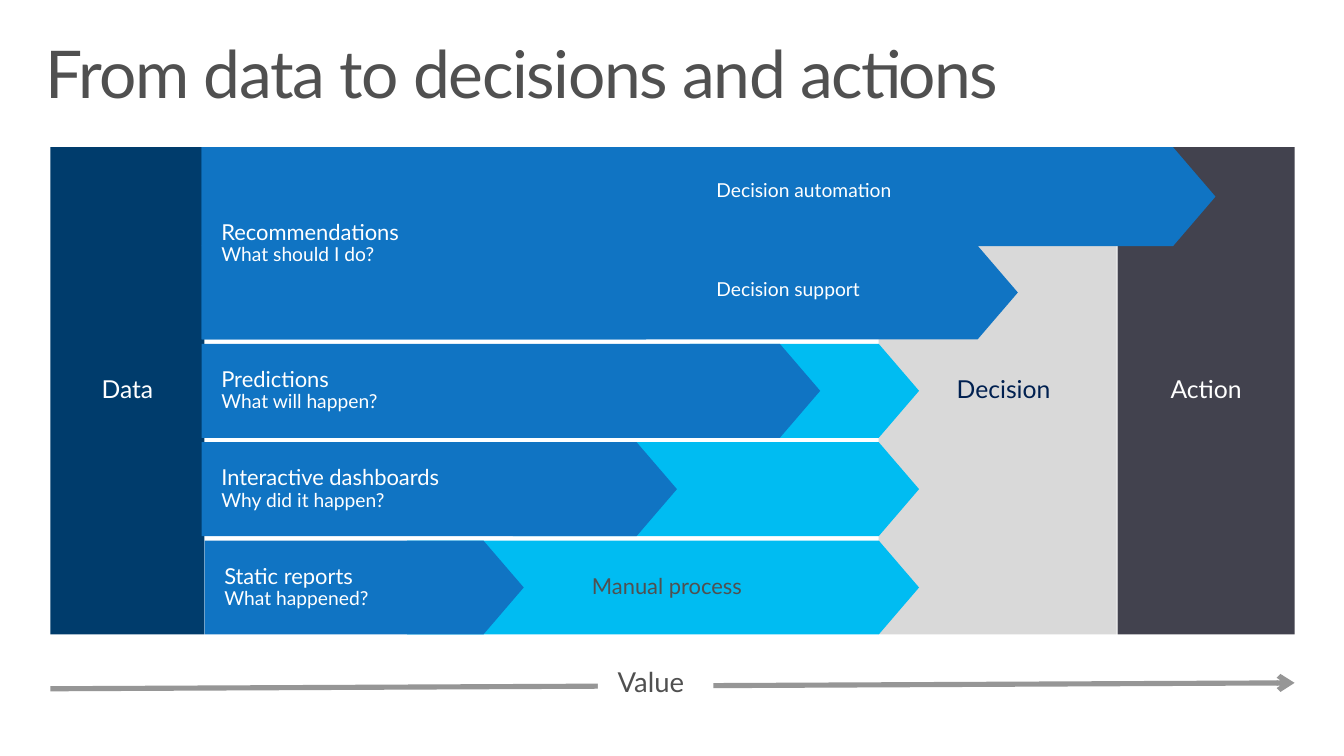
from lxml import etree
from pptx import Presentation
from pptx import util as u
from pptx.dml.color import RGBColor
from pptx.enum import shapes, text
from pptx.oxml.ns import qn

NAVY = RGBColor(0x00, 0x3C, 0x6C)
BLUE = RGBColor(0x10, 0x74, 0xC3)
CYAN = RGBColor(0x00, 0xBC, 0xF2)
CHARCOAL = RGBColor(0x42, 0x42, 0x4E)
SILVER = RGBColor(0xD9, 0xD9, 0xD9)
MIDNIGHT = RGBColor(0x00, 0x20, 0x50)
GRAY = RGBColor(0x50, 0x50, 0x50)
ARROW_GRAY = RGBColor(0x96, 0x96, 0x96)
WHITE = RGBColor(0xFF, 0xFF, 0xFF)
FONT = "Lato"

TITLE = "From data to decisions and actions"
# label, left, width, fill, text colour, left inset
COLUMNS = [
    ("Action", 11.31, 1.79, CHARCOAL, WHITE, 0.2),
    ("Decision", 8.89, 2.41, SILVER, MIDNIGHT, 0.32),
    ("Data", 0.51, 1.56, NAVY, WHITE, 0.2),
]
# row, label, question, left, right tip, left of the manual part
STAGES = [
    (2, "Predictions", "What will happen?", 2.04, 8.3, 6.98),
    (3, "Interactive dashboards", "Why did it happen?", 2.04, 6.85, 5.19),
    (4, "Static reports", "What happened?", 2.07, 5.3, 4.12),
]
# row, label, right tip, height, label width
RECOMMENDED = [
    (1, "Decision support", 10.3, 0.95, 1.9),
    (0, "Decision automation", 12.3, 1, 2.23),
]
TOP, HEIGHT = 1.49, 4.93
ROW_HEIGHT = 0.95
PITCH = (HEIGHT - ROW_HEIGHT) / 4
DATA_EDGE, MANUAL_TIP = 2.04, 9.3
TIP_RATIO = 0.429

deck = Presentation()
deck.slide_width, deck.slide_height = u.Inches(13.6), u.Inches(7.65)
page = deck.slides.add_slide(deck.slide_layouts[5])


def row_top(row):
    return TOP + row * PITCH


def write(box, lines, color=WHITE, align=text.PP_ALIGN.LEFT,
          anchor=text.MSO_ANCHOR.TOP, insets=(0.2, 0.16), left_inset=None,
          after=0, wrap=True, grow=False):
    """Fill a shape with (wording, size) lines, one paragraph each."""
    frame = box.text_frame
    frame.word_wrap = wrap
    frame.auto_size = (text.MSO_AUTO_SIZE.SHAPE_TO_FIT_TEXT if grow
                       else text.MSO_AUTO_SIZE.NONE)
    frame.vertical_anchor = anchor
    side, edge = map(u.Inches, insets)
    frame.margin_left = side if left_inset is None else u.Inches(left_inset)
    frame.margin_right = side
    frame.margin_top = frame.margin_bottom = edge
    for index, (wording, size) in enumerate(lines):
        para = frame.add_paragraph() if index else frame.paragraphs[0]
        para.alignment = align
        para.line_spacing = 0.9
        para.space_before, para.space_after = u.Pt(0), u.Pt(after)
        span = para.add_run()
        span.text = wording
        span.font.name, span.font.size = FONT, u.Pt(size)
        span.font.color.rgb = color
    return box


def add_block(kind, left, top, width, height, fill):
    block = page.shapes.add_shape(kind, *map(u.Inches, (left, top, width, height)))
    block.shadow.inherit = False
    block.fill.solid()
    block.fill.fore_color.rgb = fill
    block.line.fill.background()
    return block


def add_pentagon(left, row, right, fill, height=ROW_HEIGHT):
    block = add_block(shapes.MSO_SHAPE.PENTAGON, left, row_top(row),
                      right - left, height, fill)
    block.adjustments[0] = TIP_RATIO
    return block


def add_label(wording, size, left, top, width, height, **style):
    box = page.shapes.add_textbox(*map(u.Inches, (left, top, width, height)))
    return write(box, [(wording, size)], grow=True, **style)


title = page.shapes.title
title.left, title.top, title.width, title.height = map(u.Inches, (0.3, 0.32, 13, 1))
write(title, [(TITLE, 48)], color=GRAY, insets=(0.16, 0.1))
title.text_frame.paragraphs[0].runs[0].font._element.set("spc", "-100")

for label, left, width, fill, color, inset in COLUMNS:
    column = add_block(shapes.MSO_SHAPE.RECTANGLE, left, TOP, width, HEIGHT, fill)
    write(column, [(label, 18)], color=color, align=text.PP_ALIGN.CENTER,
          anchor=text.MSO_ANCHOR.MIDDLE, left_inset=inset)

for row, label, question, left, tip, manual_left in STAGES:
    add_pentagon(manual_left, row, MANUAL_TIP, CYAN)
    write(add_pentagon(left, row, tip, BLUE), [(label, 16), (question, 14)],
          anchor=text.MSO_ANCHOR.MIDDLE)
add_label("Manual process", 16, 5.79, 5.7, 3.68, 0.57, color=GRAY, after=6)

for row, label, tip, height, width in RECOMMENDED:
    add_pentagon(DATA_EDGE, row, tip, BLUE, height)
recommendations = add_block(shapes.MSO_SHAPE.RECTANGLE, DATA_EDGE, TOP, 4.5,
                            PITCH + ROW_HEIGHT, BLUE)
write(recommendations, [("Recommendations", 16), ("What should I do?", 14)],
      anchor=text.MSO_ANCHOR.MIDDLE)
for row, label, tip, height, width in RECOMMENDED:
    add_label(label, 14, 7.05, row_top(row) + 0.24, width, 0.54, wrap=False)

arrow = page.shapes.add_connector(shapes.MSO_CONNECTOR.STRAIGHT,
                                  *map(u.Inches, (0.51, 6.97, 13.1, 6.91)))
arrow.line.color.rgb = ARROW_GRAY
arrow.line.width = u.Pt(3.75)
etree.SubElement(arrow.line._get_or_add_ln(), qn("a:tailEnd"), type="arrow")
etree.SubElement(arrow._element.spPr, qn("a:effectLst"))

value = add_block(shapes.MSO_SHAPE.RECTANGLE, 6.05, 6.62, 1.17, 0.63, WHITE)
write(value, [("Value", 20)], color=GRAY, after=6, grow=True)

deck.save("out.pptx")
